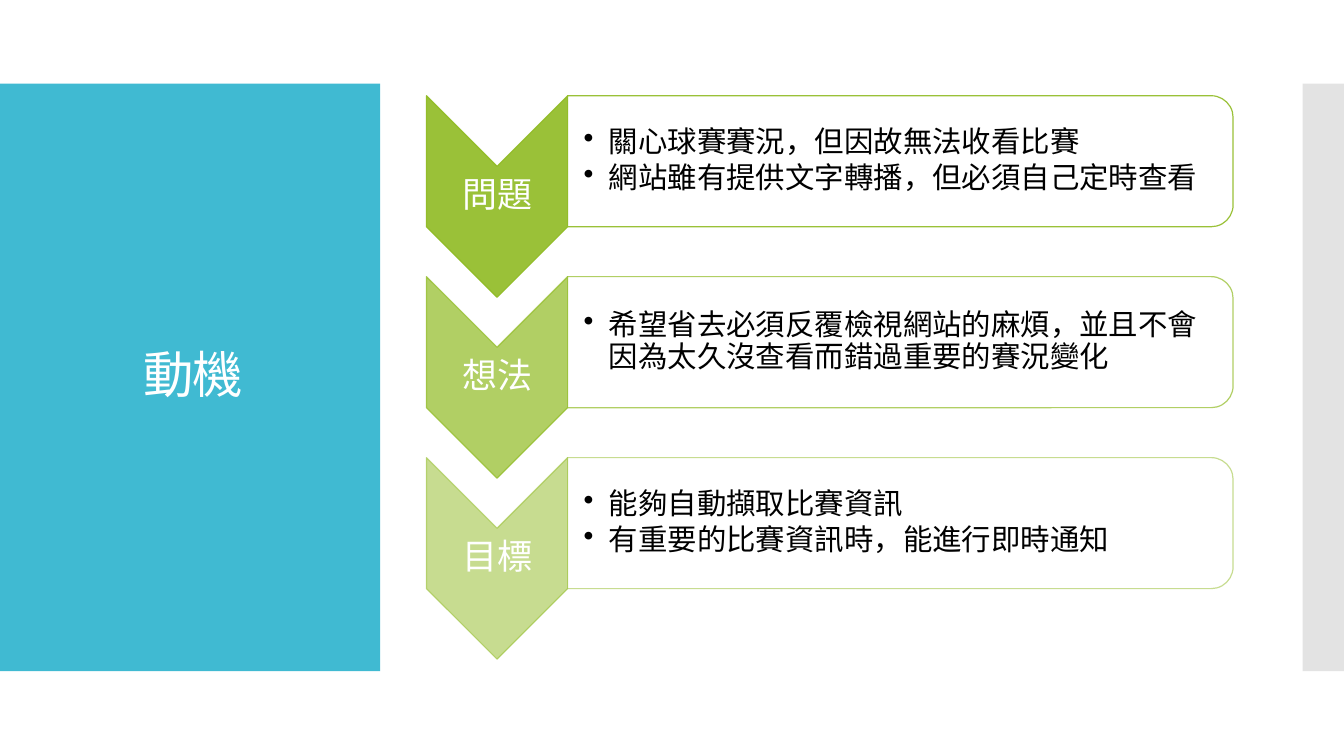
import dataclasses

import pptx
import pptx.dml.color
import pptx.enum.shapes
import pptx.enum.text
import pptx.oxml
import pptx.oxml.ns
import pptx.util

Inches = pptx.util.Inches
Pt = pptx.util.Pt
SHAPE = pptx.enum.shapes.MSO_SHAPE
ALIGN = pptx.enum.text.PP_ALIGN


@dataclasses.dataclass(frozen=True)
class Theme:
    """Colours and type sizes of the slide."""
    font: str = "Calibri"
    white: str = "FFFFFF"
    black: str = "000000"
    teal: str = "40BAD2"
    gray: str = "C8C8C8"
    green: str = "90BB23"
    title: int = 36
    label: int = 25
    body: int = 21
    line: float = 0.85


THEME = Theme()
STEPS = [
    ("問題", 90, ["關心球賽賽況，但因故無法收看比賽",
                "網站雖有提供文字轉播，但必須自己定時查看"]),
    ("想法", 70, ["希望省去必須反覆檢視網站的麻煩，並且不會因為太久沒查看而錯過重要的賽況變化"]),
    ("目標", 50, ["能夠自動擷取比賽資訊", "有重要的比賽資訊時，能進行即時通知"]),
]


def set_all(obj, values):
    """Set every attribute named in a dict."""
    for name, value in values.items():
        setattr(obj, name, value)


def paint(fill, color, opacity):
    """Give a fill a solid colour with an opacity in percent."""
    fill.solid()
    fill.fore_color.rgb = pptx.dml.color.RGBColor.from_string(color)
    if opacity < 100:
        clr = fill._xPr.find(".//" + pptx.oxml.ns.qn("a:srgbClr"))
        alpha = pptx.oxml.parse_xml(
            f'<a:alpha {pptx.oxml.ns.nsdecls("a")} val="{opacity * 1000}"/>')
        clr.append(alpha)


def add_shape(s, kind, box, color, opacity=100, line=None, line_opacity=100, turned=False):
    """Draw a preset shape that fills the box, optionally turned a quarter clockwise."""
    x, y, w, h = box
    if turned:
        x, y, w, h = x + (w - h) / 2, y + (h - w) / 2, h, w
    sp = s.shapes.add_shape(kind, Inches(x), Inches(y), Inches(w), Inches(h))
    sp.rotation = 90 if turned else 0
    sp.shadow.inherit = False
    paint(sp.fill, color, opacity)
    if line:
        paint(sp.line.fill, line, line_opacity)
        sp.line.width = Pt(THEME.line)
    else:
        sp.line.fill.background()


def add_text(s, box, lines, size, color, insets, para, bullets=False, tracking=0):
    """Write paragraphs, centred vertically in the box."""
    tf = s.shapes.add_textbox(*map(Inches, box)).text_frame
    left, rest = map(Inches, insets)
    set_all(tf, {"word_wrap": True, "margin_left": left, "margin_top": rest,
                 "margin_right": rest, "margin_bottom": rest,
                 "vertical_anchor": pptx.enum.text.MSO_ANCHOR.MIDDLE})
    for i, text in enumerate(lines):
        p = tf.add_paragraph() if i else tf.paragraphs[0]
        set_all(p, {"line_spacing": 0.9, **para})
        r = p.add_run()
        r.text = text
        set_all(r.font, {"name": THEME.font, "size": Pt(size)})
        r.font.color.rgb = pptx.dml.color.RGBColor.from_string(color)
        if tracking:
            r._r.get_or_add_rPr().set("spc", str(tracking))
        if bullets:
            pPr = p._p.get_or_add_pPr()
            pPr.set("marL", str(Inches(0.25)))
            pPr.set("indent", str(-Inches(0.25)))
            pPr.append(pptx.oxml.parse_xml(
                f'<a:buChar {pptx.oxml.ns.nsdecls("a")} char="•"/>'))


def add_title_band(s, box, title):
    """Draw the coloured band with the slide title."""
    x, y, w, h = box
    add_shape(s, SHAPE.RECTANGLE, box, THEME.teal)
    add_text(s, (x + 0.28, y + 0.4, w - 0.55, h - 0.8), [title], THEME.title,
             THEME.white, (0.1, 0.05), {"alignment": ALIGN.CENTER}, tracking=-60)


def add_step(s, box, label, opacity, points):
    """Draw one chevron with its label and its panel of points."""
    x, y, w, h = box
    arrow_w, panel_h = 1.4, 1.3
    add_shape(s, SHAPE.CHEVRON, (x, y, arrow_w, h), THEME.green, opacity,
              THEME.green, opacity, turned=True)
    add_text(s, (x, y + arrow_w / 2, arrow_w, h - arrow_w), [label], THEME.label,
             THEME.white, (0.02, 0.02), {"alignment": ALIGN.CENTER})
    panel_x, panel_w = x + arrow_w, w - arrow_w
    add_shape(s, SHAPE.ROUND_2_SAME_RECTANGLE, (panel_x, y, panel_w, panel_h),
              THEME.white, 90, THEME.green, opacity, turned=True)
    add_text(s, (panel_x, y + 0.06, panel_w - 0.07, panel_h - 0.12), points, THEME.body,
             THEME.black, (0.16, 0.01), {"space_after": Pt(3)}, bullets=True)


def add_steps(s, box, steps):
    """Stack the steps evenly from the top to the bottom of the box."""
    x, y, w, h = box
    step_h = 2
    pitch = (h - step_h) / (len(steps) - 1)
    for i, step in enumerate(steps):
        add_step(s, (x, y + i * pitch, w, step_h), *step)


def main():
    """Build and save the slide."""
    prs = pptx.Presentation()
    set_all(prs, {"slide_width": Inches(13.33), "slide_height": Inches(7.5)})
    s = prs.slides.add_slide(prs.slide_layouts[6])
    add_title_band(s, (0, 0.83, 3.77, 5.83), "動機")
    add_shape(s, SHAPE.RECTANGLE, (12.92, 0.83, 0.41, 5.83), THEME.gray, 50)
    add_steps(s, (4.23, 0.95, 8, 5.59), STEPS)
    prs.save("out.pptx")


if __name__ == "__main__":
    main()
